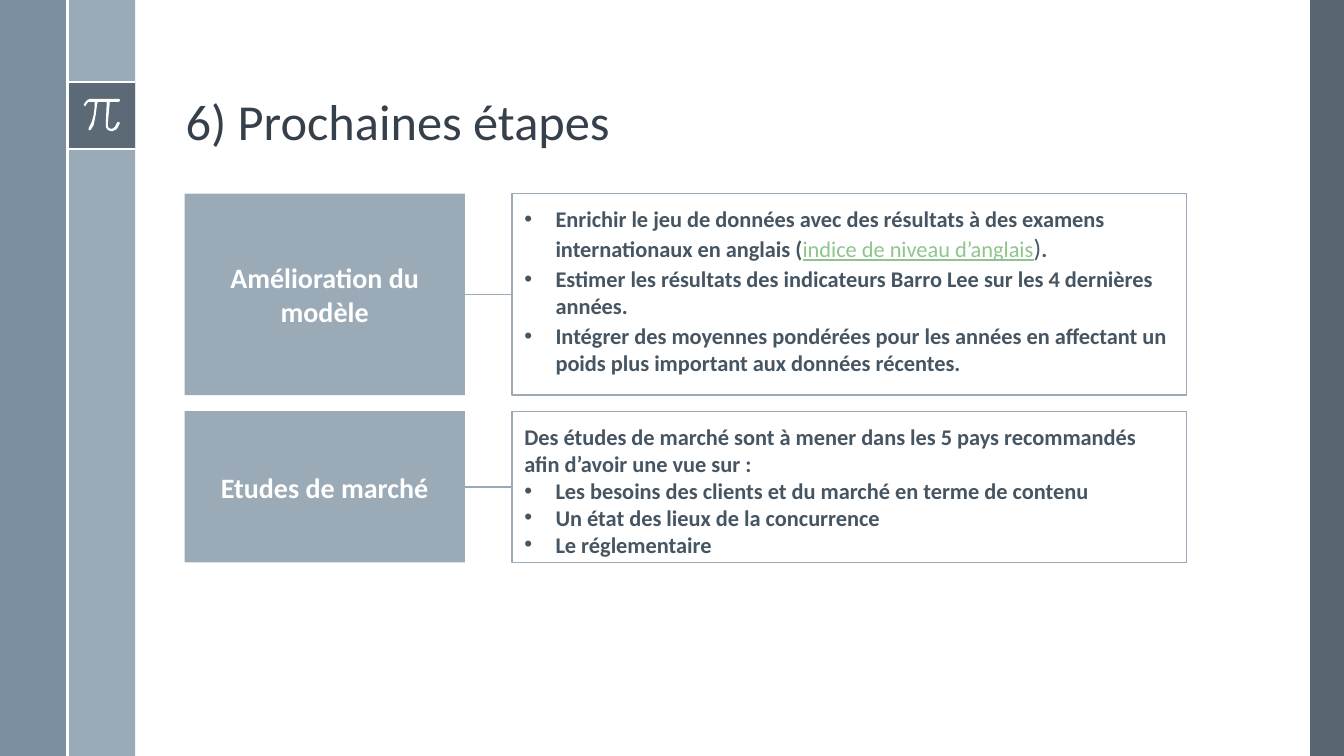
from lxml.etree import SubElement
from pptx import Presentation
from pptx.dml.color import RGBColor
from pptx.enum.shapes import MSO_CONNECTOR, MSO_SHAPE
from pptx.enum.text import MSO_ANCHOR, MSO_AUTO_SIZE, PP_ALIGN
from pptx.oxml.ns import qn
from pptx.util import Inches, Pt

TITLE = "6) Prochaines étapes"
# Each step: label, row height, space before later items, items (bulleted, runs).
# Each run: text and its style.
STEPS = [
    ("Amélioration du modèle", 2.0, 2, [
        (True, [("Enrichir le jeu de données avec des résultats à des examens "
                 "internationaux en anglais (", "strong"),
                ("indice de niveau d’anglais", "link"),
                (")", "bracket"), (".", "strong")]),
        (True, [("Estimer les résultats des indicateurs Barro Lee sur les "
                 "4 dernières années.", "strong")]),
        (True, [("Intégrer des moyennes pondérées pour les années en affectant un "
                 "poids plus important aux données récentes.", "strong")]),
    ]),
    ("Etudes de marché", 1.5, 0, [
        (False, [("Des études de marché sont à mener dans les 5 pays recommandés "
                  "afin d’avoir une vue sur :", "strong")]),
        (True, [("Les besoins des clients et du marché en terme de contenu", "strong")]),
        (True, [("Un état des lieux de la concurrence", "strong")]),
        (True, [("Le réglementaire", "strong")]),
    ]),
]
FONT = "Calibri"
WHITE, DARK, MIST, STEEL = "FFFFFF", "475562", "9BAAB7", "6A8093"
RUN_STYLES = {  # size, colour, bold, underline
    "strong": (16, "465562", True, False),
    "link": (16, "8FC48C", False, True),
    "bracket": (18, "465562", False, False),
}
# Outline of the pi sign, in hundredths of an inch
PI_SIGN = [
    (118, 98), (90, 98), (87, 98.8), (84.6, 100.6), (83, 104), (84, 105), (85, 105),
    (86.1, 102.8), (87.6, 101.4), (90, 101), (94, 101), (93.7, 106), (93, 113.6),
    (91.2, 121), (88, 127), (87.6, 128.2), (88, 129), (89, 129.4), (90, 129),
    (93, 123.5), (95, 114), (96.2, 106), (97, 101), (106, 101), (105, 122),
    (105.2, 125.8), (107, 129), (110, 130), (112, 130), (116, 127.5), (119, 122),
    (118, 121), (116.8, 121), (116, 122), (114.5, 125.8), (111, 128), (108, 127),
    (107.1, 125), (107, 122), (109, 101), (118, 101), (119, 100), (119, 98.8),
]

WIDTH, HEIGHT = 13.33, 7.5
BAND = 0.67
BADGE_TOP = 0.81
LABEL_LEFT, LABEL_WIDTH = 1.83, 2.78
DETAIL_LEFT, DETAIL_WIDTH = 5.08, 6.69
ROWS_TOP, ROW_GAP = 1.92, 0.16


def rgb(color):
    return RGBColor.from_string(color)


def add_box(left, top, width, height, fill=None, opacity=100, outline=None):
    box = slide.shapes.add_shape(MSO_SHAPE.RECTANGLE, *map(Inches, (left, top, width, height)))
    box.shadow.inherit = False
    if fill:
        box.fill.solid()
        box.fill.fore_color.rgb = rgb(fill)
        if opacity < 100:
            color = box.fill._xPr.find(".//" + qn("a:srgbClr"))
            SubElement(color, qn("a:alpha"), val=str(opacity * 1000))
    else:
        box.fill.background()
    if outline:
        box.line.color.rgb = rgb(outline)
        box.line.width = Pt(1)
    else:
        box.line.fill.background()
    return box


def add_line(x1, y1, x2, y2, color, width):
    line = slide.shapes.add_connector(MSO_CONNECTOR.STRAIGHT, *map(Inches, (x1, y1, x2, y2)))
    line.line.color.rgb = rgb(color)
    line.line.width = Pt(width)
    SubElement(line._element.spPr, qn("a:effectLst"))


def set_font(font, size, color, bold=False, underline=False):
    font.name, font.size, font.bold, font.underline = FONT, Pt(size), bold, underline
    font.color.rgb = rgb(color)


def add_bullet(paragraph):
    properties = paragraph._p.get_or_add_pPr()
    properties.set("marL", str(Inches(0.31)))
    properties.set("indent", str(Inches(-0.31)))
    SubElement(properties, qn("a:buFont"), typeface="Arial")
    SubElement(properties, qn("a:buChar"), char="•")


def add_side_bands():
    add_box(WIDTH - BAND / 2, 0, BAND / 2, HEIGHT, DARK, 90)
    add_box(BAND, 0, BAND, HEIGHT, MIST)
    add_box(0, 0, BAND, HEIGHT, STEEL, 88)
    add_box(BAND, BADGE_TOP, BAND, BAND, DARK, 75)
    for y in (BADGE_TOP, BADGE_TOP + BAND):
        add_line(BAND, y, 2 * BAND, y, WHITE, 1.5)
    outline = slide.shapes.build_freeform(*PI_SIGN[0], scale=Inches(0.01))
    outline.add_line_segments(PI_SIGN[1:], close=True)
    sign = outline.convert_to_shape()
    sign.shadow.inherit = False
    sign.fill.solid()
    sign.fill.fore_color.rgb = rgb(WHITE)
    sign.line.fill.background()
    add_line(BAND, 0, BAND, HEIGHT, WHITE, 1.5)


def add_title():
    title = slide.shapes.title
    title.left, title.top, title.width, title.height = map(Inches, (1.74, 0.19, 10.7, 1.36))
    frame = title.text_frame
    frame.text = TITLE
    frame.vertical_anchor = MSO_ANCHOR.BOTTOM
    frame.auto_size = MSO_AUTO_SIZE.NONE
    heading = frame.paragraphs[0]
    heading.alignment = PP_ALIGN.LEFT
    heading.line_spacing = 0.9
    set_font(heading.font, 36, "35404A")


def add_details(top, height, space, items):
    frame = add_box(DETAIL_LEFT, top, DETAIL_WIDTH, height, outline=MIST).text_frame
    frame.word_wrap = True
    frame.vertical_anchor = MSO_ANCHOR.TOP
    frame.margin_left = frame.margin_right = Inches(0.12)
    frame.margin_top = frame.margin_bottom = Inches(0.12)
    for index, (bulleted, runs) in enumerate(items):
        item = frame.add_paragraph() if index else frame.paragraphs[0]
        item.alignment = PP_ALIGN.LEFT
        if index and space:
            item.space_before = Pt(space)
        if bulleted:
            add_bullet(item)
        if len(runs) == 1:
            set_font(item.font, *RUN_STYLES[runs[0][1]])
        for text, style in runs:
            run = item.add_run()
            run.text = text
            if len(runs) > 1:
                set_font(run.font, *RUN_STYLES[style])


def add_label(top, height, text):
    frame = add_box(LABEL_LEFT, top, LABEL_WIDTH, height, MIST).text_frame
    frame.word_wrap = True
    frame.vertical_anchor = MSO_ANCHOR.MIDDLE
    frame.text = text
    label = frame.paragraphs[0]
    label.alignment = PP_ALIGN.CENTER
    set_font(label.font, 20, WHITE, bold=True)


deck = Presentation()
deck.slide_width, deck.slide_height = Inches(WIDTH), Inches(HEIGHT)
slide = deck.slides.add_slide(deck.slide_layouts[5])
add_side_bands()
add_title()
row_top = ROWS_TOP
for step, row_height, item_space, details in STEPS:
    add_details(row_top, row_height, item_space, details)
    add_label(row_top, row_height, step)
    middle = row_top + row_height / 2
    add_line(LABEL_LEFT + LABEL_WIDTH, middle, DETAIL_LEFT, middle, MIST, 1)
    row_top += row_height + ROW_GAP
deck.save("out.pptx")
